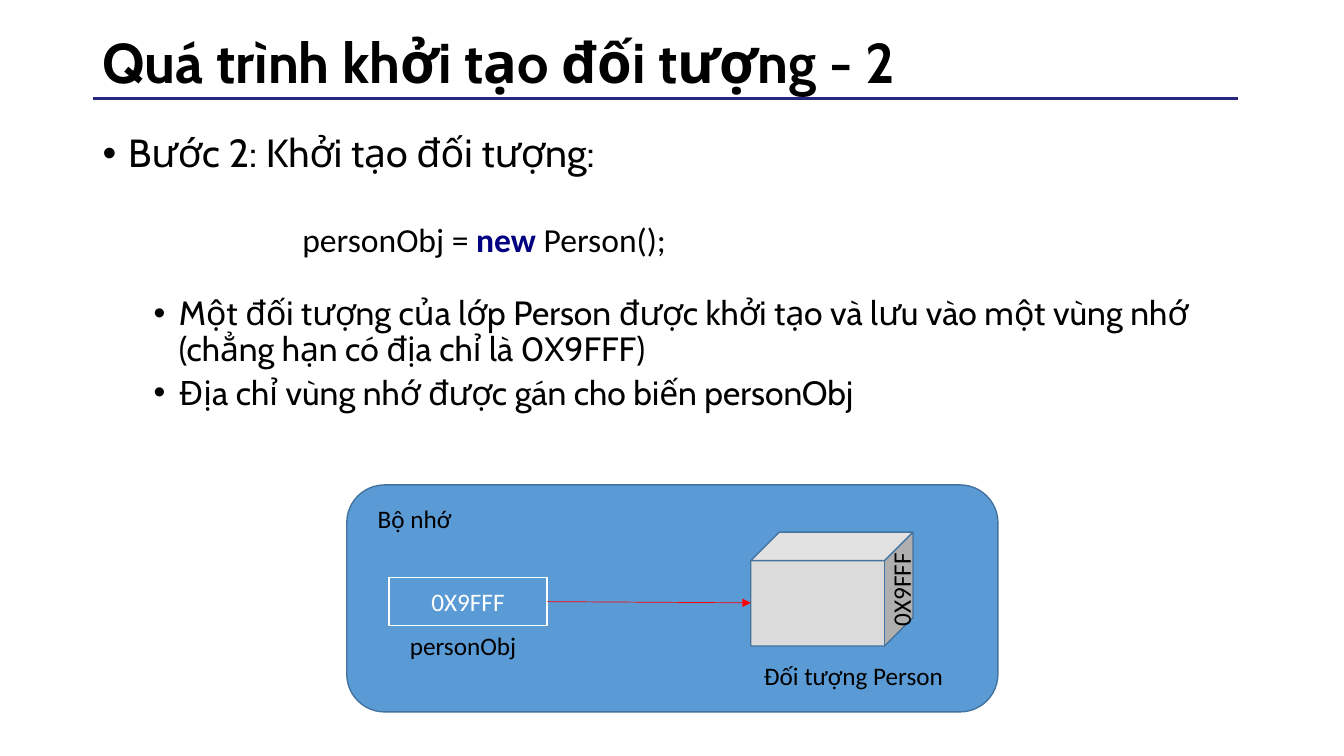
from dataclasses import dataclass, field

from lxml import etree
from pptx import Presentation
from pptx.dml.color import RGBColor
from pptx.enum.shapes import MSO_CONNECTOR, MSO_SHAPE
from pptx.enum.text import MSO_ANCHOR, PP_ALIGN
from pptx.oxml.ns import qn
from pptx.util import Cm, Pt

LINE = MSO_CONNECTOR.STRAIGHT
ROUND, RECT, CUBE = MSO_SHAPE.ROUNDED_RECTANGLE, MSO_SHAPE.RECTANGLE, MSO_SHAPE.CUBE
TOP, MIDDLE = MSO_ANCHOR.TOP, MSO_ANCHOR.MIDDLE
LEFT, CENTER = PP_ALIGN.LEFT, PP_ALIGN.CENTER

COLORS = {
    "black": "000000", "white": "FFFFFF", "navy": "000080", "rule": "272780",
    "blue": "5B9BD5", "edge": "43739E", "gray": "DBDBDB", "red": "FF0000",
}
HEAD = {"name": "Cabin", "size": Pt(40), "bold": True}
MAIN = {"name": "Cabin", "size": Pt(28)}
SUB = {"name": "Cabin", "size": Pt(24)}
CODE = {"name": "Calibri", "size": Pt(24)}
KEY = {**CODE, "bold": True}
LABEL = {"name": "Calibri", "size": Pt(18)}
STEP = Cm(0.64)


@dataclass
class Run:
    """A piece of text with one format."""
    text: str
    font: dict
    color: str = "black"


@dataclass
class Para:
    """A paragraph; indent is the left margin of a bulleted one."""
    runs: list[Run]
    form: dict = field(default_factory=dict)
    indent: int = 0


@dataclass
class Note:
    """A text box at left, top, width, height in cm."""
    box: tuple
    paras: list[Para]
    wrap: bool = True
    anchor: int = TOP
    turn: int = 0


@dataclass
class Block:
    """A filled preset shape."""
    kind: int
    box: tuple
    fill: str
    edge: str
    text: str = ""


@dataclass
class Link:
    """A straight line between two points."""
    start: tuple
    end: tuple
    color: str
    width: float
    arrow: bool = False


def paint(color) -> "RGBColor":
    """Look up a colour by name."""
    return RGBColor.from_string(COLORS[color])


def apply(target, form: dict) -> None:
    """Set each attribute in the format."""
    for name, value in form.items():
        setattr(target, name, value)


def write(frame, paras: list[Para]) -> None:
    """Fill a text frame with paragraphs."""
    for i, item in enumerate(paras):
        para = frame.add_paragraph() if i else frame.paragraphs[0]
        apply(para, {"alignment": LEFT, **item.form})
        if item.indent:
            props = para._p.get_or_add_pPr()
            props.set("marL", str(int(item.indent)))
            props.set("indent", str(-int(STEP)))
            etree.SubElement(props, qn("a:buFont")).set("typeface", "Arial")
            etree.SubElement(props, qn("a:buChar")).set("char", "•")
        for part in item.runs:
            run = para.add_run()
            run.text = part.text
            apply(run.font, part.font)
            run.font.color.rgb = paint(part.color)


def add_note(slide, note: Note) -> None:
    """Draw a text box."""
    shape = slide.shapes.add_textbox(*map(Cm, note.box))
    shape.rotation = note.turn
    apply(shape.text_frame, {"word_wrap": note.wrap, "vertical_anchor": note.anchor})
    write(shape.text_frame, note.paras)


def add_block(slide, block: Block) -> None:
    """Draw a preset shape."""
    shape = slide.shapes.add_shape(block.kind, *map(Cm, block.box))
    shape.shadow.inherit = False
    shape.fill.solid()
    shape.fill.fore_color.rgb = paint(block.fill)
    shape.line.color.rgb = paint(block.edge)
    shape.line.width = Pt(1)
    if block.text:
        shape.text_frame.vertical_anchor = MIDDLE
        run = Run(block.text, LABEL, "white")
        write(shape.text_frame, [Para([run], {"alignment": CENTER})])


def add_link(slide, link: Link) -> None:
    """Draw a line, with an arrowhead if asked."""
    shape = slide.shapes.add_connector(LINE, *map(Cm, link.start + link.end))
    shape.line.color.rgb = paint(link.color)
    shape.line.width = Pt(link.width)
    if link.arrow:
        etree.SubElement(shape.line._get_or_add_ln(), qn("a:tailEnd")).set("type", "triangle")
    etree.SubElement(shape._element.spPr, qn("a:effectLst"))


def label(text: str, left: float, top: float, width: float,
          wrap: bool = True, turn: int = 0) -> Note:
    """Make a one-line label of the diagram."""
    return Note((left, top, width, 1.02), [Para([Run(text, LABEL)])], wrap, turn=turn)


def point(text: str, font: dict, gap: int, indent: int) -> Para:
    """Make a bulleted paragraph."""
    form = {"line_spacing": 0.9, "space_before": Pt(gap)}
    return Para([Run(text, font)], form, indent)


TITLE = Para([Run("Quá trình khởi tạo đối tượng - 2", HEAD)], {"line_spacing": 0.9})
POINTS = [
    point("Bước 2: Khởi tạo đối tượng:", MAIN, 10, STEP),
    point("Một đối tượng của lớp Person được khởi tạo và lưu vào một vùng nhớ "
          "(chẳng hạn có địa chỉ là 0X9FFF)", SUB, 86, 3 * STEP),
    point("Địa chỉ vùng nhớ được gán cho biến personObj", SUB, 5, 3 * STEP),
]
CALL = Para([Run("personObj = ", CODE), Run("new ", KEY, "navy"), Run("Person();", CODE)])

ITEMS = [
    Link((31.19, 2.49), (2.34, 2.49), "rule", 2),
    Note((2.34, 0.51, 29.21, 2.26), [TITLE], anchor=MIDDLE),
    Note((2.34, 3.25, 29.21, 12.37), POINTS),
    Note((7.37, 5.38, 9.75, 1.27), [CALL], wrap=False),
    Block(ROUND, (8.74, 12.22, 16.41, 5.72), "blue", "edge"),
    label("Bộ nhớ", 9.27, 12.55, 2.54),
    Block(RECT, (9.8, 14.55, 3.99, 1.22), "blue", "white", "0X9FFF"),
    label("personObj", 10.08, 15.75, 4.29),
    Block(CUBE, (18.92, 13.41, 4.09, 2.87), "gray", "edge"),
    label("Đối tượng Person", 19, 16.51, 5.08, wrap=False),
    Link((13.79, 15.16), (18.92, 15.19), "red", 0.5, arrow=True),
    label("0X9FFF", 21.51, 14.33, 2.39, wrap=False, turn=270),
]
DRAW = {Note: add_note, Block: add_block, Link: add_link}

deck = Presentation()
apply(deck, {"slide_width": Cm(33.87), "slide_height": Cm(19.05)})
page = deck.slides.add_slide(deck.slide_layouts[6])
for item in ITEMS:
    DRAW[type(item)](page, item)
deck.save("out.pptx")
